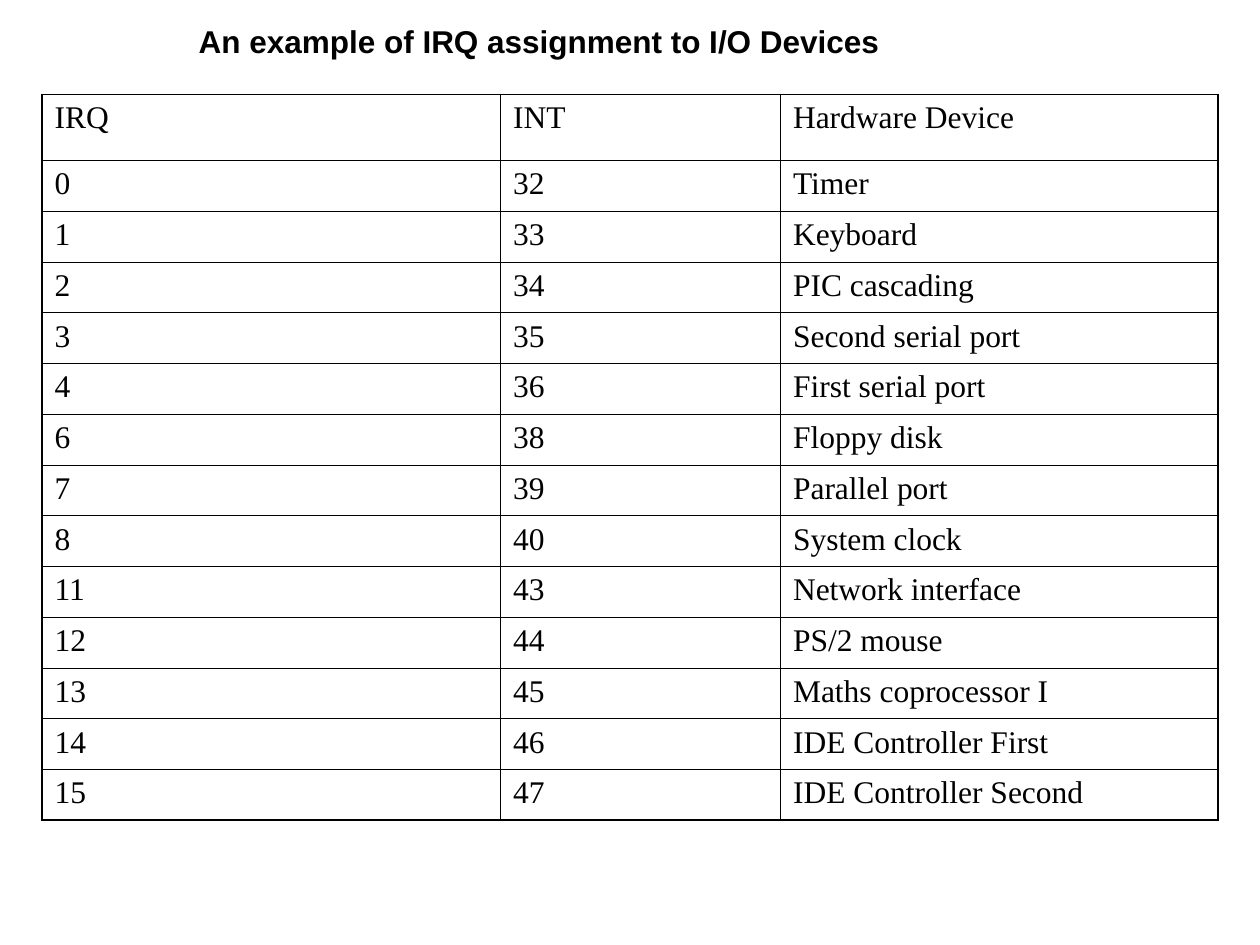
import dataclasses

import lxml.etree
import pptx
import pptx.dml.color
import pptx.enum.text
import pptx.oxml.ns
import pptx.util

Pt = pptx.util.Pt


@dataclasses.dataclass(frozen=True)
class Theme:
    ink: str = "000000"
    title_font: str = "Arial"
    body_font: str = "Times New Roman"
    text_size: float = 18
    outer_line: float = 1.08
    inner_line: float = 0.45


def write_text(frame, text, *, font, size, color, bold=False):
    paragraph = frame.paragraphs[0]
    run = paragraph.add_run()
    run.text = text
    run.font.name = font
    run.font.size = Pt(size)
    run.font.bold = bold
    run.font.color.rgb = pptx.dml.color.RGBColor.from_string(color)


class SlideBuilder:
    def __init__(self, slide, theme):
        self.slide = slide
        self.theme = theme

    def title(self, text, left, top, width, height):
        shape = self.slide.shapes.add_textbox(Pt(left), Pt(top), Pt(width), Pt(height))
        frame = shape.text_frame
        frame.word_wrap = False
        frame.auto_size = pptx.enum.text.MSO_AUTO_SIZE.SHAPE_TO_FIT_TEXT
        write_text(frame, text, font=self.theme.title_font, size=self.theme.text_size,
                   color=self.theme.ink, bold=True)

    def cell_borders(self, cell, outer_sides):
        properties = cell._tc.get_or_add_tcPr()
        for position, side in enumerate("LRTB"):
            weight = self.theme.outer_line if side in outer_sides else self.theme.inner_line
            line = lxml.etree.Element(pptx.oxml.ns.qn(f"a:ln{side}"), w=str(int(Pt(weight))))
            fill = lxml.etree.SubElement(line, pptx.oxml.ns.qn("a:solidFill"))
            lxml.etree.SubElement(fill, pptx.oxml.ns.qn("a:srgbClr"), val=self.theme.ink)
            properties.insert(position, line)

    def table(self, rows, left, top, column_widths, row_heights):
        shape = self.slide.shapes.add_table(
            len(rows), len(column_widths), Pt(left), Pt(top),
            Pt(sum(column_widths)), Pt(sum(row_heights)))
        table = shape.table
        table.first_row = False
        table.horz_banding = False
        for column, width in zip(table.columns, column_widths):
            column.width = Pt(width)
        for row, height in zip(table.rows, row_heights):
            row.height = Pt(height)
        last_row, last_column = len(rows) - 1, len(column_widths) - 1
        for row_index, values in enumerate(rows):
            for column_index, value in enumerate(values):
                cell = table.cell(row_index, column_index)
                cell.fill.background()
                write_text(cell.text_frame, value, font=self.theme.body_font,
                           size=self.theme.text_size, color=self.theme.ink)
                edges = {"L": column_index == 0, "R": column_index == last_column,
                         "T": row_index == 0, "B": row_index == last_row}
                self.cell_borders(cell, {side for side, outer in edges.items() if outer})


FIRST_INTERRUPT = 32
DEVICES = {
    0: "Timer",
    1: "Keyboard",
    2: "PIC cascading",
    3: "Second serial port",
    4: "First serial port",
    6: "Floppy disk",
    7: "Parallel port",
    8: "System clock",
    11: "Network interface",
    12: "PS/2 mouse",
    13: "Maths coprocessor I",
    14: "IDE Controller First",
    15: "IDE Controller Second",
}


def main():
    presentation = pptx.Presentation()
    presentation.slide_width = Pt(720)
    presentation.slide_height = Pt(540)
    slide = presentation.slides.add_slide(presentation.slide_layouts[6])
    builder = SlideBuilder(slide, Theme())

    rows = [("IRQ", "INT", "Hardware Device")]
    rows += [(str(irq), str(FIRST_INTERRUPT + irq), device) for irq, device in DEVICES.items()]
    builder.table(rows, 24, 54, column_widths=[262, 160, 250],
                  row_heights=[37.7] + [29] * len(DEVICES))
    builder.title("An example of IRQ assignment to I/O Devices", 106.5, 9, 407, 29)

    presentation.save("out.pptx")


if __name__ == "__main__":
    main()
